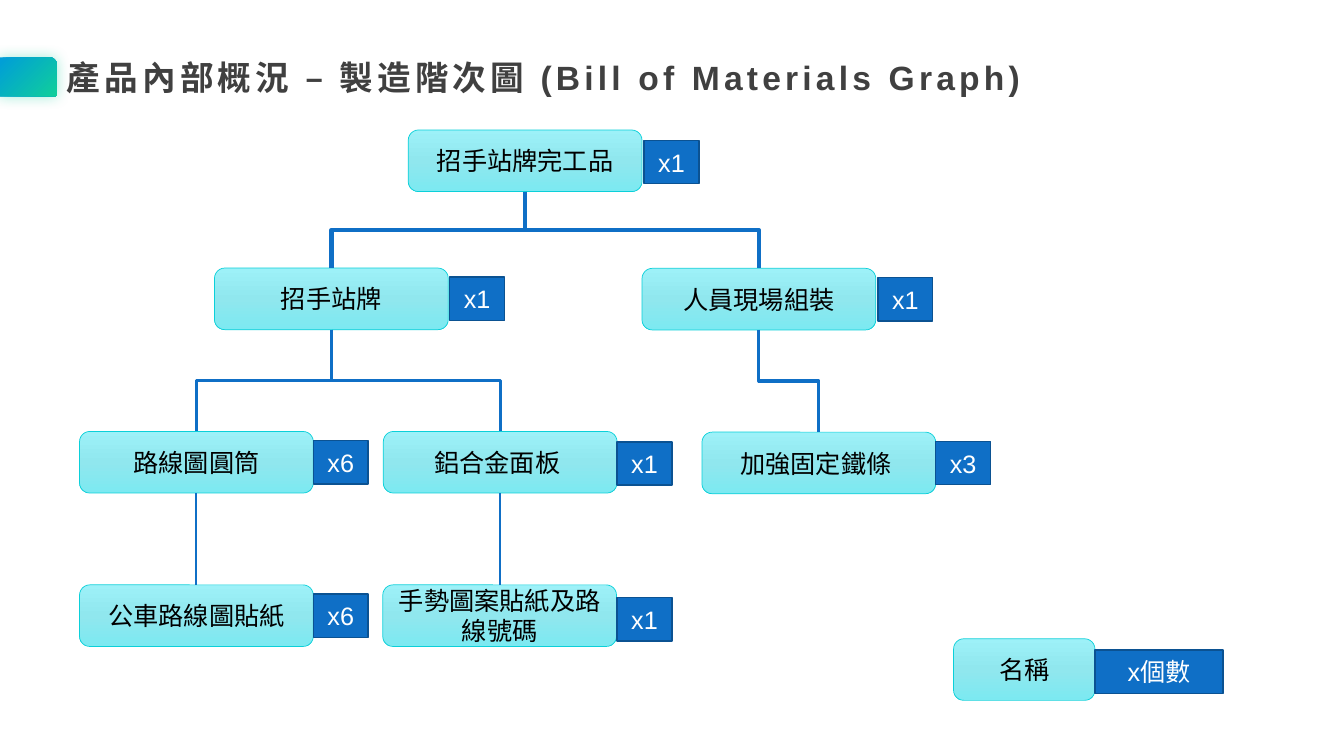
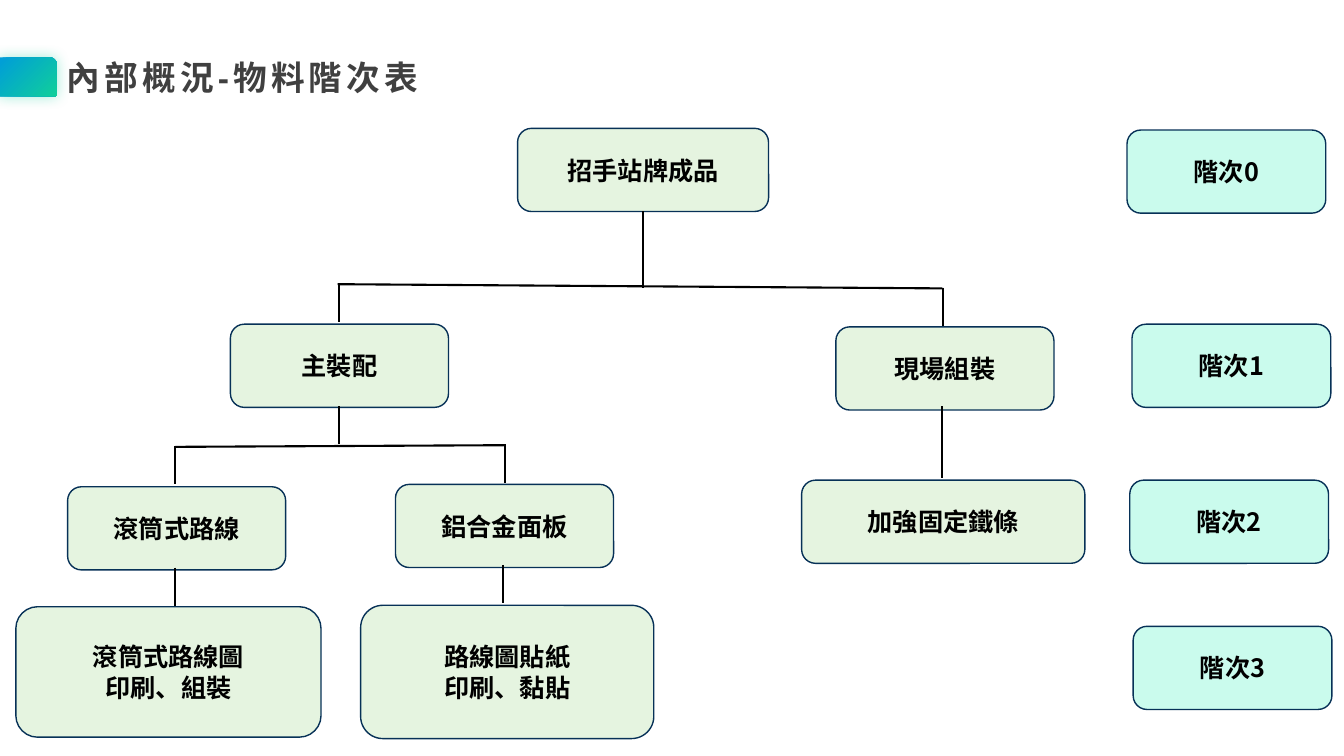
"""Two product structure charts: a bill of materials graph and a level table."""
from dataclasses import dataclass

from pptx import Presentation
from pptx.dml.color import RGBColor
from pptx.enum.shapes import MSO_CONNECTOR, MSO_SHAPE
from pptx.enum.text import MSO_ANCHOR, MSO_AUTO_SIZE, PP_ALIGN
from pptx.oxml import parse_xml
from pptx.oxml.ns import nsdecls, qn
from pptx.util import Pt


@dataclass(frozen=True)
class Theme:
    ink: str = "000000"
    gray: str = "404040"
    white: str = "FFFFFF"
    blue: str = "0F6FC6"
    edge: str = "0B5292"
    navy: str = "073157"
    aqua: str = "0BD0D9"
    leaf: str = "E5F4E0"
    mint: str = "CAFBED"
    green: str = "10CF9B"
    sky: str = "009DD9"
    head: int = 24
    body: int = 18
    sans: str = "Arial"
    cjk: str = "Noto Sans CJK SC"


T = Theme()
ARIAL = {"name": T.sans, "size": Pt(T.body), "bold": False}
NOTO = {"name": T.cjk, "size": Pt(T.body), "bold": True}
TITLE = {"name": T.sans, "size": Pt(T.head), "bold": True}
NODE = {
    "kind": MSO_SHAPE.ROUNDED_RECTANGLE, "line": (T.aqua, 0.5), "ink": T.ink, "font": ARIAL,
    "fill": ([(0, "9DF1F8"), (50, "90E7EE"), (100, "7CE9F1")], '<a:lin ang="5400000" scaled="0"/>'),
}
BADGE = {"kind": MSO_SHAPE.RECTANGLE, "fill": T.blue, "line": (T.edge, 1), "ink": T.white, "font": ARIAL}
STEP = {"kind": MSO_SHAPE.ROUNDED_RECTANGLE, "fill": T.leaf, "line": (T.navy, 1), "ink": T.ink, "font": NOTO}
LEVEL = {**STEP, "fill": T.mint}
BAND = {
    "kind": MSO_SHAPE.ROUND_1_RECTANGLE, "line": None, "ink": T.ink, "font": ARIAL,
    "fill": ([(0, T.green), (100, T.sky)],
             '<a:path path="circle"><a:fillToRect l="100000" t="100000"/></a:path>'),
}


def box(slide, style, rect, text=""):
    shape = slide.shapes.add_shape(style["kind"], *map(Pt, rect))
    shape.shadow.inherit = False
    if isinstance(style["fill"], str):
        shape.fill.solid()
        shape.fill.fore_color.rgb = RGBColor.from_string(style["fill"])
    else:
        stops, tail = style["fill"]
        marks = "".join(f'<a:gs pos="{pos * 1000}"><a:srgbClr val="{tint}"/></a:gs>' for pos, tint in stops)
        shape.fill.gradient()
        old = shape.element.spPr.find(qn("a:gradFill"))
        old.getparent().replace(old, parse_xml(
            f'<a:gradFill {nsdecls("a")} rotWithShape="1"><a:gsLst>{marks}</a:gsLst>{tail}</a:gradFill>'))
    if style["line"]:
        shape.line.color.rgb = RGBColor.from_string(style["line"][0])
        shape.line.width = Pt(style["line"][1])
    else:
        shape.line.fill.background()
    frame = shape.text_frame
    frame.word_wrap = True
    frame.vertical_anchor = MSO_ANCHOR.MIDDLE
    frame.text = text
    for para in frame.paragraphs:
        para.alignment = PP_ALIGN.CENTER
        para.font.color.rgb = RGBColor.from_string(style["ink"])
        for key, value in style["font"].items():
            setattr(para.font, key, value)
    return shape


def wire(slide, kind, ends, tint, width):
    line = slide.shapes.add_connector(kind, *map(Pt, ends))
    line.line.color.rgb = RGBColor.from_string(tint)
    line.line.width = Pt(width)
    line.element.spPr.append(parse_xml(f'<a:effectLst {nsdecls("a")}/>'))
    return line


deck = Presentation()
deck.slide_width, deck.slide_height = Pt(960), Pt(540)
layout = deck.slide_layouts[5]

slides = []
for text, width in [
    ("產品內部概況 – 製造階次圖 (Bill of Materials Graph)", 720),
    ("內部概況-物料階次表", 270.7),
]:
    slide = deck.slides.add_slide(layout)
    title = slide.shapes.title
    for key, value in {"left": 40.4, "top": 36.7, "width": width, "height": 36}.items():
        setattr(title, key, Pt(value))
    frame = title.text_frame
    frame.text = text
    for key, value in {"word_wrap": True, "auto_size": MSO_AUTO_SIZE.NONE,
                       "vertical_anchor": MSO_ANCHOR.TOP}.items():
        setattr(frame, key, value)
    para = frame.paragraphs[0]
    para.alignment = PP_ALIGN.LEFT
    run = para.runs[0]
    for key, value in TITLE.items():
        setattr(run.font, key, value)
    run.font.color.rgb = RGBColor.from_string(T.gray)
    run._r.get_or_add_rPr().set("spc", "300")
    slides.append(slide)
graph, table = slides

band = box(graph, BAND, (0, 41, 40.5, 27.7))
band.element.spPr.find(qn("a:effectLst")).append(parse_xml(
    f'<a:outerShdw {nsdecls("a")} blurRad="127000" dist="0"><a:srgbClr val="{T.green}">'
    '<a:alpha val="40000"/></a:srgbClr></a:outerShdw>'))
layout.shapes.element.append(band.element)

parts = [
    ("招手站牌完工品", 291.6, 92.9, 167, "x1", 1.5, 7.4, 39.2),
    ("招手站牌", 153.2, 191.5, 167, "x1", 1, 6.5, 39.2),
    ("人員現場組裝", 458.6, 191.7, 167, "x1", 1.5, 6.5, 39.2),
    ("路線圖圓筒", 56.8, 308.2, 167, "x6", 0, 6.5, 39.2),
    ("鋁合金面板 ", 273.8, 308.2, 167, "x1", 0, 7.4, 39.2),
    ("加強固定鐵條 ", 501.4, 308.7, 167, "x3", 0, 6.5, 39.2),
    ("公車路線圖貼紙", 56.8, 417.8, 167, "x6", 0, 6.5, 39.2),
    ("手勢圖案貼紙及路線號碼", 273.4, 417.8, 167, "x1", 0.4, 9, 39.2),
    ("名稱", 681.1, 456.3, 101, "x個數", 0, 8, 91.6),
]
nodes = [box(graph, NODE, (x, y, wide, 44), name) for name, x, y, wide, *rest in parts]

for top, low, width in [(0, 1, 3), (0, 2, 3), (1, 3, 2.25), (1, 4, 2.25), (2, 5, 2.25), (3, 6, 1.5), (4, 7, 1.5)]:
    line = wire(graph, MSO_CONNECTOR.ELBOW, (0, 0, 0, 0), T.blue, width)
    line.begin_connect(nodes[top], 2)
    line.end_connect(nodes[low], 0)
    run, fall = line.end_x - line.begin_x, line.end_y - line.begin_y
    mid, half = (line.begin_x + line.end_x) // 2, (line.begin_y + line.end_y) // 2
    right = run >= 0
    for key, value in {"left": mid - fall // 2, "top": half - abs(run) // 2,
                       "width": fall, "height": abs(run)}.items():
        setattr(line, key, value)
    frame = line.element.spPr.find(qn("a:xfrm"))
    for key, value in {"rot": "16200000" if right else "5400000", "flipH": str(int(right)), "flipV": "0"}.items():
        frame.set(key, value)

for name, x, y, wide, count, gap, drop, size in parts:
    box(graph, BADGE, (x + wide + gap, y + drop, size, 31), count)

for text, *rect in [
    ("招手站牌成品", 369.7, 91.7, 179.3, 59.4),
    ("主裝配", 164.6, 231.6, 155.8, 59.4),
    ("現場組裝", 597.1, 233.5, 155.8, 59.4),
    ("加強固定鐵條", 572.6, 343, 202.3, 59.4),
    ("鋁合金面板", 282.5, 346, 155.8, 59.4),
    ("滾筒式路線", 48.3, 347.7, 155.8, 59.4),
    ("路線圖貼紙\n印刷、黏貼", 257.6, 432.4, 209.4, 95.2),
    ("滾筒式路線圖\n印刷、組裝", 11.3, 433.4, 218, 93.2),
]:
    box(table, STEP, rect, text)

for bar in [(241.2, 203, 673.2, 206), (125.3, 319.2, 361.3, 318)]:
    wire(table, MSO_CONNECTOR.STRAIGHT, bar, T.ink, 1.5)
for x, y, fall in [
    (459.2, 151, 55), (242, 202.5, 27.2), (673.4, 205.5, 27.2), (242, 290.2, 27.2), (125.3, 318.5, 27.2),
    (361, 317.7, 27.2), (672.8, 290.2, 51), (125.3, 405.5, 27.2), (359.3, 403.5, 27.2),
]:
    wire(table, MSO_CONNECTOR.STRAIGHT, (x, y, x, y + fall), T.ink, 1.5)

for rank, (x, y) in enumerate([(805, 92.9), (808.6, 231.6), (807, 343), (809.4, 447.4)]):
    box(table, LEVEL, (x, y, 142, 59.4), f"階次{rank}")

deck.save("out.pptx")
